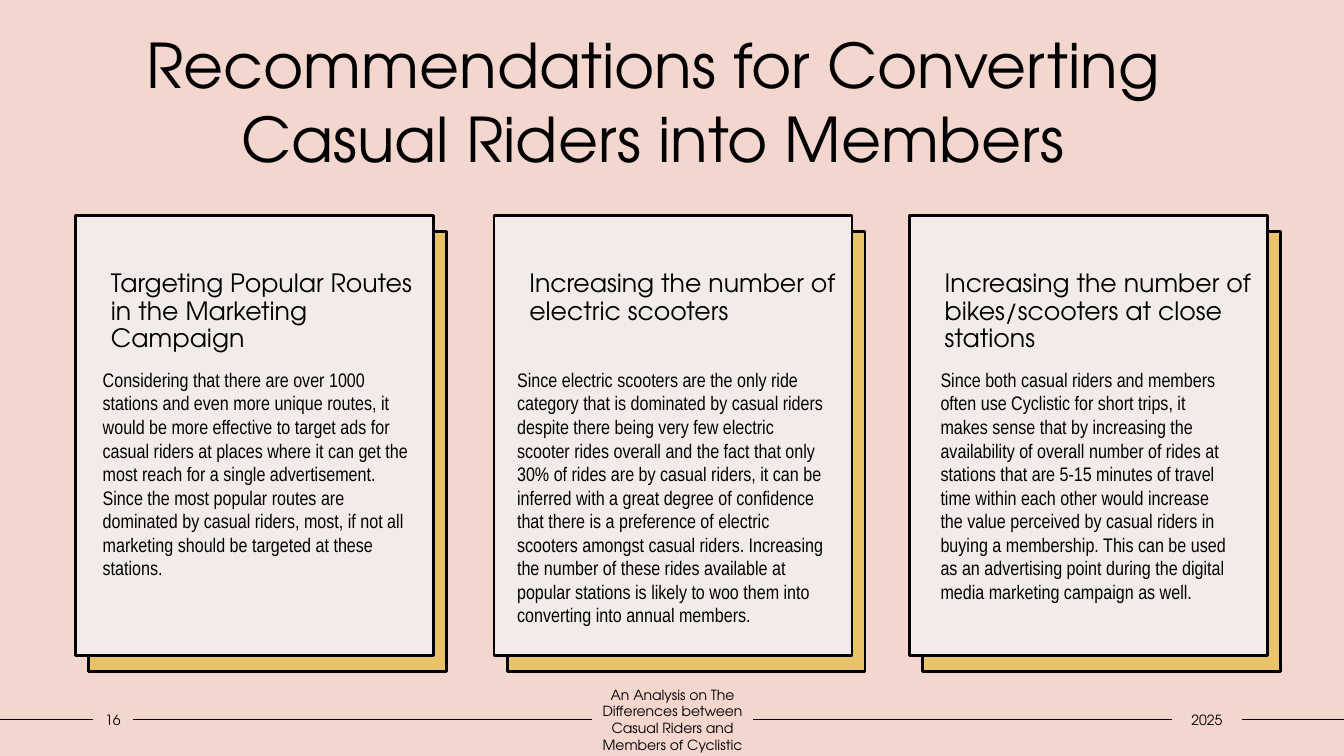
from dataclasses import dataclass

from lxml.etree import SubElement
from pptx import Presentation
from pptx.dml.color import RGBColor
from pptx.enum.shapes import MSO_CONNECTOR, MSO_SHAPE
from pptx.enum.text import MSO_ANCHOR, PP_ALIGN
from pptx.oxml.ns import qn
from pptx.util import Inches, Pt

TITLE = "Recommendations for Converting Casual Riders into Members"
CARDS = [
    {
        "heading": "Targeting Popular Routes in the Marketing Campaign",
        "body": "Considering that there are over 1000 stations and even more unique routes, it would be more effective to target ads for casual riders at places where it can get the most reach for a single advertisement. Since the most popular routes are dominated by casual riders, most, if not all marketing should be targeted at these stations.",
        "left": 0.75, "body_offset": 0.17, "body_width": 3.29,
    },
    {
        "heading": "Increasing the number of electric scooters",
        "body": "Since electric scooters are the only ride category that is dominated by casual riders despite there being very few electric scooter rides overall and the fact that only 30% of rides are by casual riders, it can be inferred with a great degree of confidence that there is a preference of electric scooters amongst casual riders. Increasing the number of these rides available at popular stations is likely to woo them into converting into annual members.",
        "left": 4.9, "body_offset": 0.13, "body_width": 3.29,
    },
    {
        "heading": "Increasing the number of bikes/scooters at close stations",
        "body": "Since both casual riders and members often use Cyclistic for short trips, it makes sense that by increasing the availability of overall number of rides at stations that are 5-15 minutes of travel time within each other would increase the value perceived by casual riders in buying a membership. This can be used as an advertising point during the digital media marketing campaign as well.",
        "left": 9.02, "body_offset": 0.21, "body_width": 3.12,
    },
]
FOOTERS = [
    ("16", 0.92, 0.4),
    ("An Analysis on The Differences between Casual Riders and Members of Cyclistic", 5.87, 1.6),
    ("2025", 11.62, 0.7),
]


@dataclass(frozen=True)
class Theme:
    background: RGBColor = RGBColor.from_string("F3D6CD")
    card: RGBColor = RGBColor.from_string("F3EBE8")
    backing: RGBColor = RGBColor.from_string("E9C369")
    ink: RGBColor = RGBColor.from_string("000000")
    display_font: str = "TeX Gyre Adventor"
    body_font: str = "Arial Narrow"
    title_size: int = 44
    heading_size: int = 18
    body_size: int = 14
    footer_size: int = 10


THEME = Theme()
SLIDE_WIDTH, SLIDE_HEIGHT = 13.33, 7.5
CARD_TOP, CARD_WIDTH, CARD_HEIGHT = 2.14, 3.55, 4.36
BACKING_SHIFT_X, BACKING_SHIFT_Y = 0.13, 0.16
BODY_TOP, BODY_HEIGHT = 3.6, 3.05
FOOTER_TOP, FOOTER_HEIGHT = 7, 0.28
DEFAULT_INSETS = (0.1, 0.05, 0.1, 0.05)
HEADING_INSETS = (0.35, 0.55, 0.1, 0.05)
FOOTER_INSETS = (0, 0.05, 0, 0.05)


def write(shape, text, size, font, align=PP_ALIGN.LEFT, anchor=MSO_ANCHOR.TOP, insets=DEFAULT_INSETS):
    frame = shape.text_frame
    frame.word_wrap = True
    frame.vertical_anchor = anchor
    frame.margin_left, frame.margin_top, frame.margin_right, frame.margin_bottom = map(Inches, insets)
    paragraph = frame.paragraphs[0]
    paragraph.text = text
    paragraph.alignment = align
    paragraph.font.size = Pt(size)
    paragraph.font.name = font
    paragraph.font.color.rgb = THEME.ink
    return paragraph


def add_text(slide, box, *args, **options):
    shape = slide.shapes.add_textbox(*map(Inches, box))
    write(shape, *args, **options)
    return shape


def add_panel(slide, left, top, fill):
    shape = slide.shapes.add_shape(
        MSO_SHAPE.RECTANGLE, *map(Inches, (left, top, CARD_WIDTH, CARD_HEIGHT)))
    shape.shadow.inherit = False
    shape.fill.solid()
    shape.fill.fore_color.rgb = fill
    shape.line.color.rgb = THEME.ink
    shape.line.width = Pt(2)
    return shape


def add_card(slide, card):
    left = card["left"]
    add_panel(slide, left + BACKING_SHIFT_X, CARD_TOP + BACKING_SHIFT_Y, THEME.backing)
    panel = add_panel(slide, left, CARD_TOP, THEME.card)
    heading = write(panel, card["heading"], THEME.heading_size, THEME.display_font, insets=HEADING_INSETS)
    heading.line_spacing = 0.9
    heading.space_before = Pt(10)
    add_text(slide, (left + card["body_offset"], BODY_TOP, card["body_width"], BODY_HEIGHT),
             card["body"], THEME.body_size, THEME.body_font)


def add_footer(slide):
    labels = [
        add_text(slide, (left, FOOTER_TOP, width, FOOTER_HEIGHT), text,
                 THEME.footer_size, THEME.display_font, align=PP_ALIGN.CENTER,
                 anchor=MSO_ANCHOR.MIDDLE, insets=FOOTER_INSETS)
        for text, left, width in FOOTERS
    ]
    middle = Inches(FOOTER_TOP + FOOTER_HEIGHT / 2)
    for before, after in zip([None, *labels], [*labels, None]):
        rule = slide.shapes.add_connector(
            MSO_CONNECTOR.STRAIGHT, 0, middle, Inches(SLIDE_WIDTH), middle)
        if before is not None:
            rule.begin_connect(before, 3)
        if after is not None:
            rule.end_connect(after, 1)
        rule.line.color.rgb = THEME.ink
        rule.line.width = Pt(1)
        SubElement(rule._element.spPr, qn("a:effectLst"))


def main():
    presentation = Presentation()
    presentation.slide_width = Inches(SLIDE_WIDTH)
    presentation.slide_height = Inches(SLIDE_HEIGHT)
    slide = presentation.slides.add_slide(presentation.slide_layouts[6])
    slide.background.fill.solid()
    slide.background.fill.fore_color.rgb = THEME.background
    add_text(slide, (1.02, 0.22, 10.92, 1.51), TITLE, THEME.title_size,
             THEME.display_font, align=PP_ALIGN.CENTER)
    for card in CARDS:
        add_card(slide, card)
    add_footer(slide)
    presentation.save("out.pptx")


if __name__ == "__main__":
    main()
